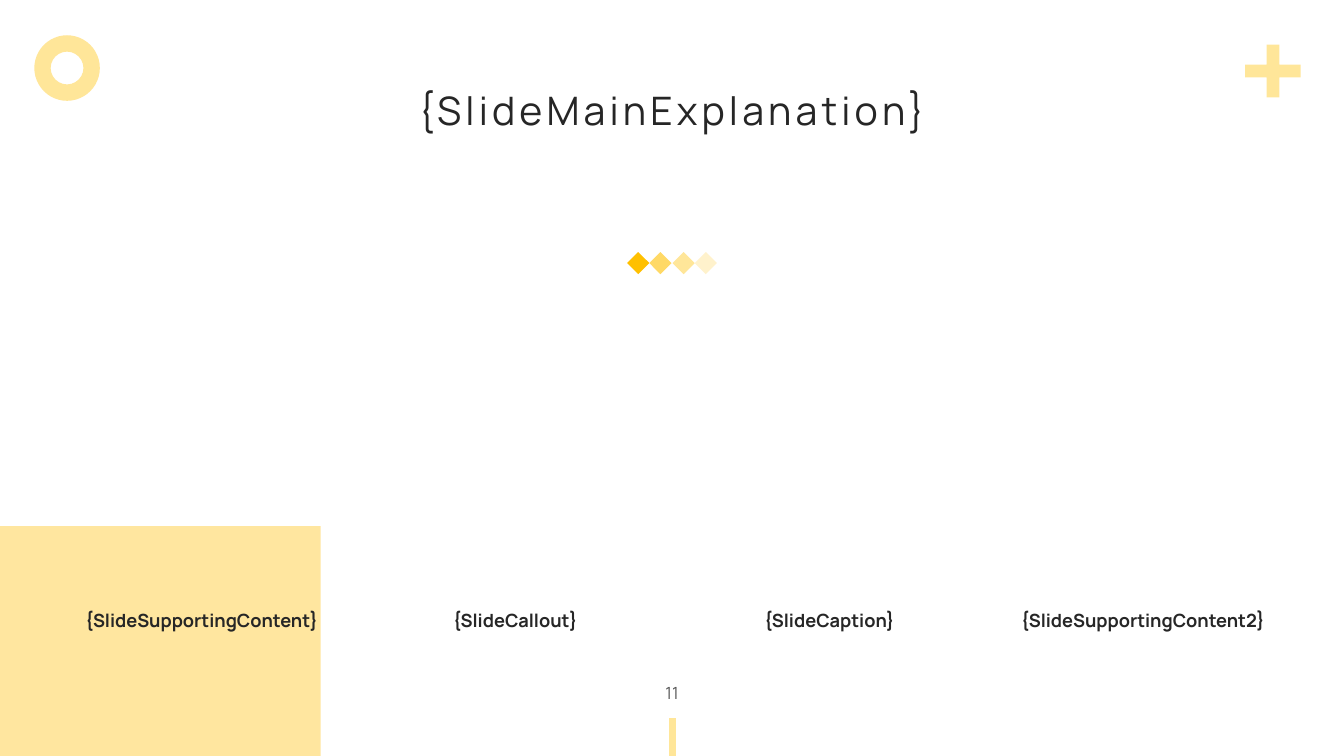
from dataclasses import dataclass

from lxml.etree import SubElement
from pptx import Presentation
from pptx.dml.color import RGBColor
from pptx.enum.shapes import MSO_CONNECTOR, MSO_SHAPE
from pptx.enum.text import MSO_ANCHOR, MSO_AUTO_SIZE, PP_ALIGN
from pptx.oxml.ns import qn
from pptx.util import Emu, Pt

EMU_PER_PX = 9144  # 100 px to the inch
TITLE_ONLY = 5
FONT = "Manrope"
COLORS = {
    "panel": "FFE69F",
    "accent": "FFE699",
    "ink": "262626",
    "number": "595959",
    "amber": "FFC000",
    "gold": "FFD966",
    "cream": "FFF2CC",
}


@dataclass
class Figure:
    kind: MSO_SHAPE
    left: int
    top: int
    width: int
    height: int
    color: str
    adjustments: tuple[float, ...] = ()


@dataclass
class Label:
    text: str
    left: int
    top: int
    width: int
    height: int
    size: int = 13
    color: str = "ink"
    bold: bool = True
    anchor: MSO_ANCHOR = MSO_ANCHOR.TOP
    auto_size: MSO_AUTO_SIZE = MSO_AUTO_SIZE.SHAPE_TO_FIT_TEXT


DECORATIONS = [
    Figure(MSO_SHAPE.RECTANGLE, 0, 522, 318, 228, "panel"),
    Figure(MSO_SHAPE.MATH_PLUS, 1225, 35, 75, 71, "accent", (0.178,)),
    Figure(MSO_SHAPE.DONUT, 34, 35, 65, 65, "accent"),
]
DIAMONDS = [
    Figure(MSO_SHAPE.DIAMOND, 622 + round(index * 22.33), 250, 22, 22, color)
    for index, color in enumerate(["amber", "gold", "accent", "cream"])
]
TITLE = Label("{SlideMainExplanation}", 274, 81, 785, 151, size=28, bold=False)
PAGE_NUMBER = Label("11", 634, 667, 65, 40, size=12, color="number", bold=False,
                    anchor=MSO_ANCHOR.MIDDLE, auto_size=MSO_AUTO_SIZE.NONE)
CAPTIONS = [
    Label("{SlideSupportingContent}", 60, 600, 280, 32),
    Label("{SlideCallout}", 373, 600, 276, 32),
    Label("{SlideCaption}", 682, 600, 281, 33),
    Label("{SlideSupportingContent2}", 993, 600, 281, 32),
]


def px(length: int) -> Emu:
    return Emu(length * EMU_PER_PX)


def frame(item: Figure | Label) -> list[Emu]:
    return [px(length) for length in (item.left, item.top, item.width, item.height)]


def rgb(name: str) -> RGBColor:
    return RGBColor.from_string(COLORS[name])


def set_all(target: object, values: dict) -> None:
    for name, value in values.items():
        setattr(target, name, value)


def draw_figure(shapes, figure: Figure) -> None:
    shape = shapes.add_shape(figure.kind, *frame(figure))
    shape.shadow.inherit = False
    shape.fill.solid()
    shape.fill.fore_color.rgb = rgb(figure.color)
    shape.line.fill.background()
    for index, value in enumerate(figure.adjustments):
        shape.adjustments[index] = value


def write_label(box, label: Label) -> None:
    set_all(box, dict(zip(("left", "top", "width", "height"), frame(label))))
    set_all(box.text_frame, {
        "word_wrap": True,
        "auto_size": label.auto_size,
        "vertical_anchor": label.anchor,
    })
    para = box.text_frame.paragraphs[0]
    para.alignment = PP_ALIGN.CENTER
    span = para.add_run()
    span.text = label.text
    set_all(span.font, {"name": FONT, "size": Pt(label.size), "bold": label.bold})
    span.font.color.rgb = rgb(label.color)


def draw_label(shapes, label: Label) -> None:
    write_label(shapes.add_textbox(*frame(label)), label)


def draw_title(box, label: Label) -> None:
    write_label(box, label)
    for properties in box.element.iter(qn("a:rPr")):
        properties.set("spc", "300")


def draw_tick(shapes) -> None:
    tick = shapes.add_connector(MSO_CONNECTOR.STRAIGHT, px(667), px(750), px(667), px(712))
    tick.line.color.rgb = rgb("accent")
    tick.line.width = Pt(5)
    SubElement(tick.element.spPr, qn("a:effectLst"))


def main() -> None:
    deck = Presentation()
    set_all(deck, {"slide_width": px(1333), "slide_height": px(750)})
    page = deck.slides.add_slide(deck.slide_layouts[TITLE_ONLY])

    # Corner decorations
    for figure in DECORATIONS:
        draw_figure(page.shapes, figure)

    # Page number and its tick
    draw_label(page.shapes, PAGE_NUMBER)
    draw_tick(page.shapes)

    # Title and captions
    draw_title(page.shapes.title, TITLE)
    for caption in CAPTIONS:
        draw_label(page.shapes, caption)

    # Row of diamonds
    row = page.shapes.add_group_shape()
    for diamond in DIAMONDS:
        draw_figure(row.shapes, diamond)

    deck.save("out.pptx")


if __name__ == "__main__":
    main()
